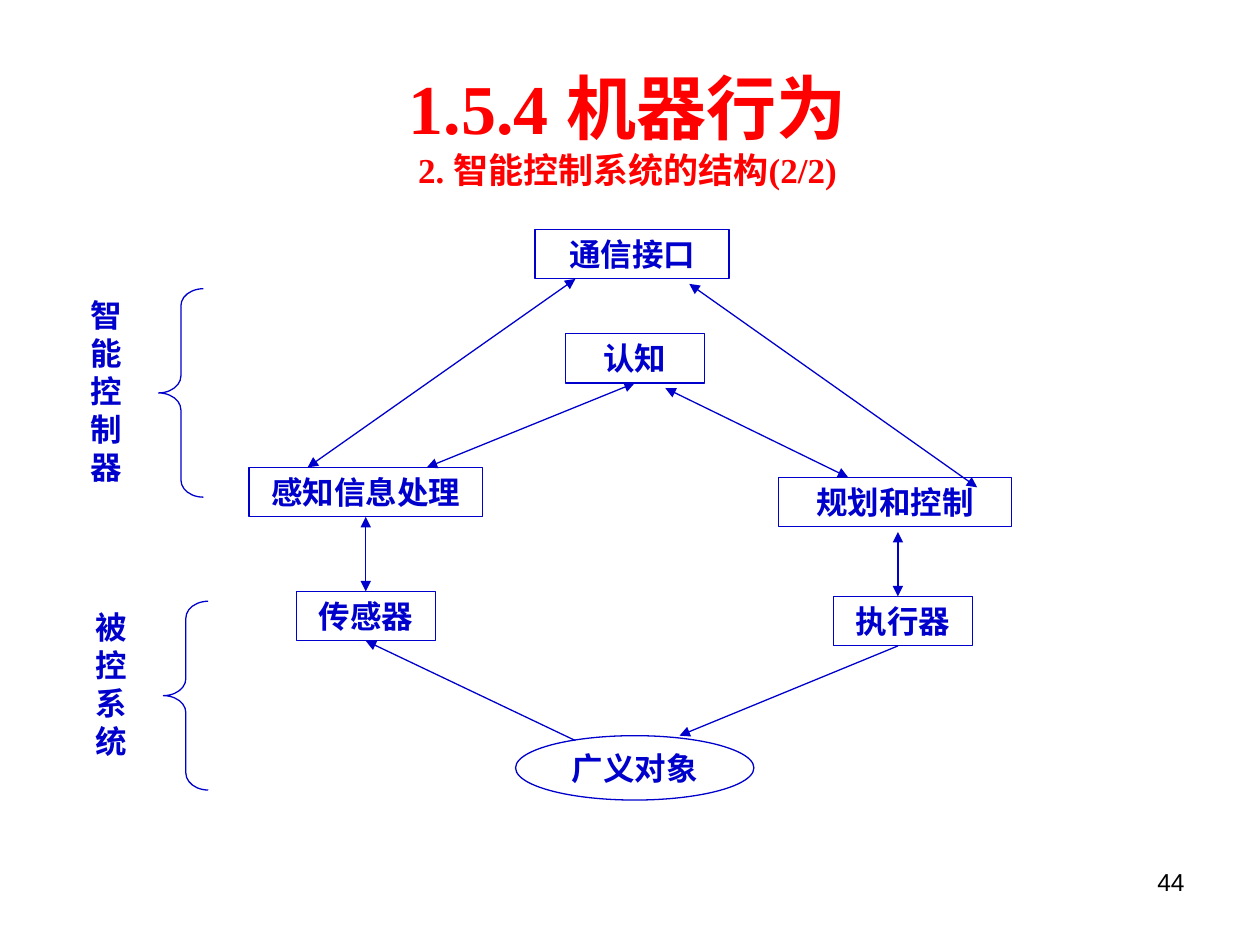
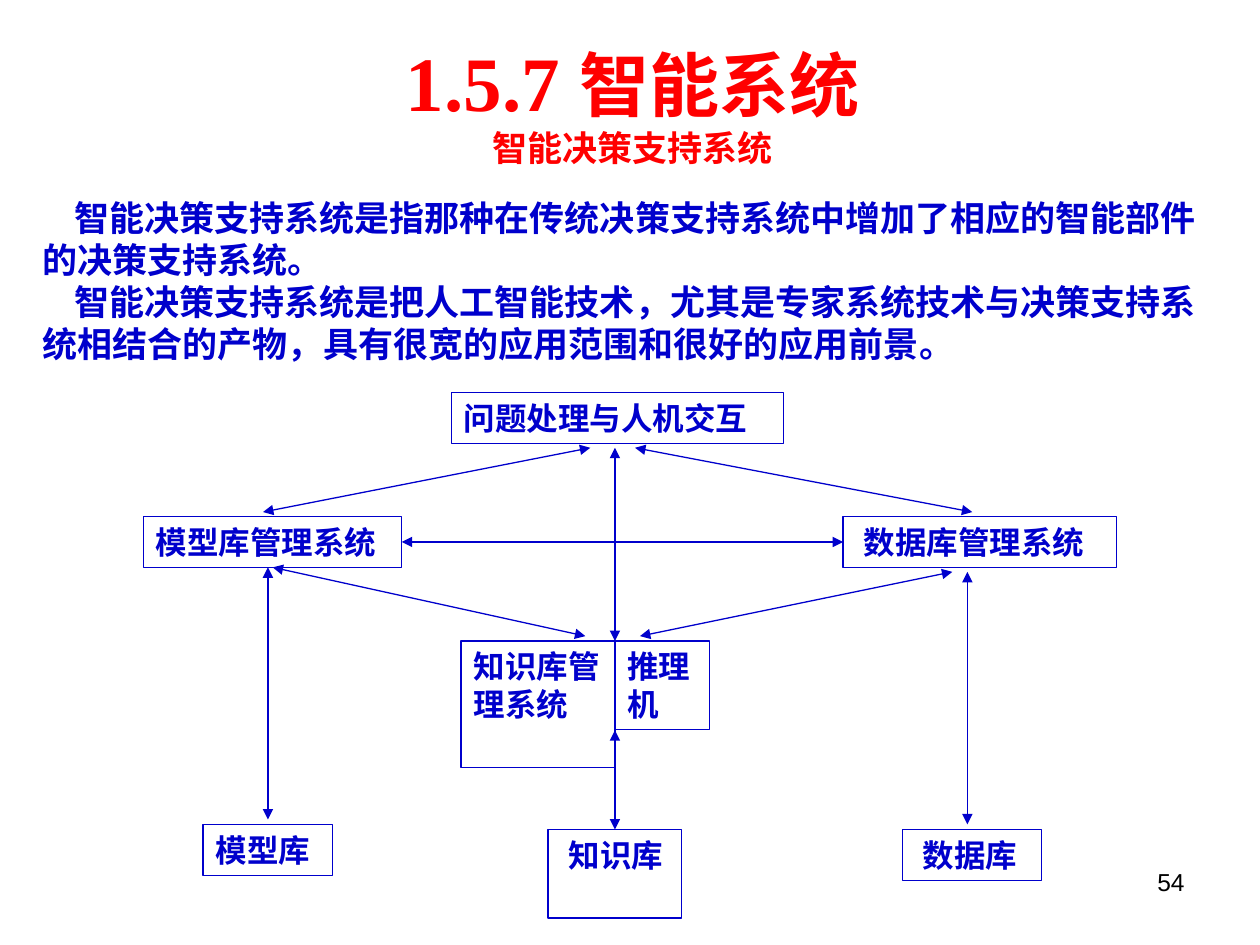
"""Build two slides on intelligent control and decision support systems."""

from dataclasses import dataclass
from typing import NamedTuple

import lxml.etree
import pptx
import pptx.dml.color
import pptx.enum.shapes
import pptx.enum.text
import pptx.oxml.ns
import pptx.util

Pt = pptx.util.Pt
Shape = pptx.enum.shapes.MSO_SHAPE
Align = pptx.enum.text.PP_ALIGN
Anchor = pptx.enum.text.MSO_ANCHOR
COLOURS = {"title": "FF0000", "diagram": "0000CC", "paper": "FFFFFF", "number": "000000"}
SANS, SERIF = "Arial", "Times New Roman"
LINE_WIDTH = 0.75
ROW = 28.3
TOP, LEFT, BOTTOM, RIGHT = range(4)


class Frame(NamedTuple):
    """Place and size in points."""

    left: float
    top: float
    width: float
    height: float


class Point(NamedTuple):
    """A free connector end in points."""

    x: float
    y: float


class Side(NamedTuple):
    """A connector end at the middle of a node's side."""

    node: str
    site: int


class Span(NamedTuple):
    """A piece of title text and its size; a size of 0 breaks the line."""

    text: str
    size: float


@dataclass(frozen=True)
class NodeStyle:
    """Text settings shared by the nodes of one diagram."""

    font: str
    anchor: Anchor
    align: Align
    wrap: bool


@dataclass(frozen=True)
class Node:
    """A labelled diagram shape."""

    text: str
    frame: Frame
    kind: Shape = Shape.RECTANGLE
    outlined: bool = True
    inset: float = 7.2


@dataclass(frozen=True)
class Link:
    """An arrow between two ends."""

    start: Point | Side
    end: Point | Side
    both_ways: bool = True


BREAK = Span("", 0)
CONTROL_STYLE = NodeStyle(SANS, Anchor.MIDDLE, Align.CENTER, False)
SUPPORT_STYLE = NodeStyle(SERIF, Anchor.TOP, Align.LEFT, True)

CONTROL_TITLE = [Span("1.5.4 机器行为", 40), BREAK, Span("2. 智能控制系统的结构(2/2)", 20)]
CONTROL_NODES = [
    Node("通信接口", Frame(305.8, 131.1, 110.9, ROW)),
    Node("认知", Frame(323, 190.6, 79.4, ROW)),
    Node("感知信息处理", Frame(142.3, 267.1, 133.4, ROW)),
    Node("规划和控制", Frame(444.8, 272.8, 133.4, ROW)),
    Node("传感器", Frame(169.3, 337.9, 79.4, ROW)),
    Node("执行器", Frame(476.2, 340.8, 79.4, ROW)),
    Node("广义对象", Frame(294.6, 420.4, 136.2, 36.8), Shape.OVAL),
    Node("智\n能\n控\n制\n器", Frame(39.6, 167.9, 42.5, 111), outlined=False),
    Node("被\n控\n系\n统", Frame(42.5, 335.3, 42.5, 111), outlined=False),
]
CONTROL_LINKS = [
    Link(Point(328.8, 159.4), Point(175.8, 267.1)),
    Link(Side("认知", BOTTOM), Point(243.9, 267.1)),
    Link(Point(393.9, 162.2), Point(558.4, 278.5)),
    Link(Point(380.2, 221.8), Point(484.7, 272.8)),
    Link(Side("感知信息处理", BOTTOM), Side("传感器", TOP)),
    Link(Point(513.1, 304), Point(513.1, 340.8)),
    Link(Point(328.8, 423.2), Side("传感器", BOTTOM), False),
    Link(Point(513.1, 369.1), Point(388.3, 420.4), False),
]
BRACES = [Frame(90.6, 165, 25.6, 119.1), Frame(93.4, 343.6, 25.6, 107.9)]

SUPPORT_TITLE = [Span("1.5.7 ", 44), Span("智能系统", 40), BREAK, Span("智能决策支持系统", 20)]
SUPPORT_TEXT = [
    "智能决策支持系统是指那种在传统决策支持系统中增加了相应的智能部件的决策支持系统。",
    "智能决策支持系统是把人工智能技术，尤其是专家系统技术与决策支持系统相结合的产物，"
    "具有很宽的应用范围和很好的应用前景。",
]
SUPPORT_NODES = [
    Node("问题处理与人机交互", Frame(257.8, 224.4, 190, 29)),
    Node("模型库管理系统", Frame(82, 295.2, 147.6, 29)),
    Node("数据库管理系统", Frame(481.8, 295.2, 156.2, 29), inset=11.7),
    Node("知识库管\n理系统", Frame(263.5, 366.3, 87.9, 72.2)),
    Node("推理机", Frame(351.4, 366.3, 54, 50.5)),
    Node("模型库", Frame(116.1, 471.3, 73.8, 29)),
    Node("知识库", Frame(313.2, 474, 76.4, 50.6), inset=11.7),
    Node("数据库", Frame(515.6, 474, 79.4, 29), inset=11.7),
]
SUPPORT_LINKS = [
    Link(Point(351.4, 255.9), Point(351.4, 366.3)),
    Link(Point(362.9, 255.9), Point(555.6, 292.6)),
    Link(Point(150.3, 292.6), Point(337.3, 255.9)),
    Link(Side("模型库管理系统", RIGHT), Side("数据库管理系统", LEFT)),
    Link(Point(153.1, 324.2), Point(153.1, 468.3)),
    Link(Point(351.4, 417.3), Side("知识库", TOP)),
    Link(Side("模型库管理系统", BOTTOM), Point(334.5, 363.5)),
    Link(Point(544.2, 326.8), Point(365.7, 363.5)),
    Link(Point(552.8, 326.8), Point(552.8, 471.1)),
]


def colour(name: str) -> pptx.dml.color.RGBColor:
    """Return a named colour."""
    return pptx.dml.color.RGBColor.from_string(COLOURS[name])


def points(values: tuple) -> list:
    """Turn plain numbers into point lengths."""
    return [Pt(value) for value in values]


def set_font(font, name: str, size: float, tint: str, bold: bool = True) -> None:
    """Format a run's or paragraph's font."""
    font.name, font.size, font.bold = name, Pt(size), bold
    font.color.rgb = colour(tint)


def draw_outline(shape) -> None:
    """Give a shape or connector the diagram line."""
    shape.line.color.rgb = colour("diagram")
    shape.line.width = Pt(LINE_WIDTH)


def add_page(deck, frame: Frame, spans: list[Span], number: int):
    """Add a slide with its title and page number."""
    page = deck.slides.add_slide(deck.slide_layouts[5])
    title = page.shapes.title
    title.left, title.top, title.width, title.height = points(frame)
    title.text_frame.auto_size = pptx.enum.text.MSO_AUTO_SIZE.NONE
    title.text_frame.vertical_anchor = Anchor.MIDDLE
    para = title.text_frame.paragraphs[0]
    para.alignment = Align.CENTER
    para.font.size = Pt(spans[0].size)
    for span in spans:
        if span == BREAK:
            para.add_line_break()
            continue
        run = para.add_run()
        run.text = span.text
        set_font(run.font, SERIF, span.size, "title")
    box = page.shapes.add_textbox(*points((516.2, 491.8, 167.8, 37.4)))
    box.text_frame.word_wrap = True
    para = box.text_frame.paragraphs[0]
    para.text = str(number)
    para.alignment = Align.RIGHT
    set_font(para.font, SANS, 14, "number", False)
    return page


def add_node(page, node: Node, style: NodeStyle):
    """Draw one labelled shape."""
    shape = page.shapes.add_shape(node.kind, *points(node.frame))
    shape.shadow.inherit = False
    shape.fill.solid()
    shape.fill.fore_color.rgb = colour("paper")
    if node.outlined:
        draw_outline(shape)
    else:
        shape.line.fill.background()
    text = shape.text_frame
    text.word_wrap, text.vertical_anchor = style.wrap, style.anchor
    text.margin_left = Pt(node.inset)
    text.text = node.text
    for para in text.paragraphs:
        para.alignment = style.align
        set_font(para.font, style.font, 18, "diagram")
    return shape


def add_link(page, link: Link, shapes: dict) -> None:
    """Draw one arrow and join it where it meets a side's middle."""
    ends = [end if isinstance(end, Point) else Point(0, 0) for end in (link.start, link.end)]
    line = page.shapes.add_connector(
        pptx.enum.shapes.MSO_CONNECTOR.STRAIGHT, *points(ends[0] + ends[1])
    )
    for end, connect in ((link.start, line.begin_connect), (link.end, line.end_connect)):
        if isinstance(end, Side):
            connect(shapes[end.node], end.site)
    draw_outline(line)
    stroke = line.line._get_or_add_ln()
    for tag in ("a:headEnd", "a:tailEnd") if link.both_ways else ("a:tailEnd",):
        lxml.etree.SubElement(stroke, pptx.oxml.ns.qn(tag), type="triangle")
    lxml.etree.SubElement(line._element.spPr, pptx.oxml.ns.qn("a:effectLst"))


def add_diagram(page, nodes: list[Node], links: list[Link], style: NodeStyle) -> None:
    """Draw the nodes and then the arrows between them."""
    shapes = {node.text: add_node(page, node, style) for node in nodes}
    for link in links:
        add_link(page, link, shapes)


def add_brace(page, frame: Frame) -> None:
    """Draw a left brace."""
    brace = page.shapes.add_shape(Shape.LEFT_BRACE, *points(frame))
    brace.shadow.inherit = False
    brace.adjustments[0] = 0.38
    brace.fill.background()
    draw_outline(brace)


def add_body(page, frame: Frame, paragraphs: list[str]) -> None:
    """Write the running text with indented first lines."""
    box = page.shapes.add_textbox(*points(frame))
    box.text_frame.word_wrap = True
    box.text_frame.text = "\n".join(paragraphs)
    for para in box.text_frame.paragraphs:
        properties = para._p.get_or_add_pPr()
        properties.set("marL", "0")
        properties.set("indent", str(Pt(18)))
        set_font(para.font, SERIF, 20, "diagram")


def main() -> None:
    """Build and save the deck."""
    deck = pptx.Presentation()
    deck.slide_width, deck.slide_height = Pt(720), Pt(540)

    control = add_page(deck, Frame(22.3, 31.7, 672.5, 82), CONTROL_TITLE, 44)
    add_diagram(control, CONTROL_NODES, CONTROL_LINKS, CONTROL_STYLE)
    for frame in BRACES:
        add_brace(control, frame)

    support = add_page(deck, Frame(25.2, 15.1, 672.5, 85.7), SUPPORT_TITLE, 54)
    add_diagram(support, SUPPORT_NODES, SUPPORT_LINKS, SUPPORT_STYLE)
    add_body(support, Frame(17.3, 108.7, 686.2, 103.7), SUPPORT_TEXT)

    deck.save("out.pptx")


if __name__ == "__main__":
    main()
